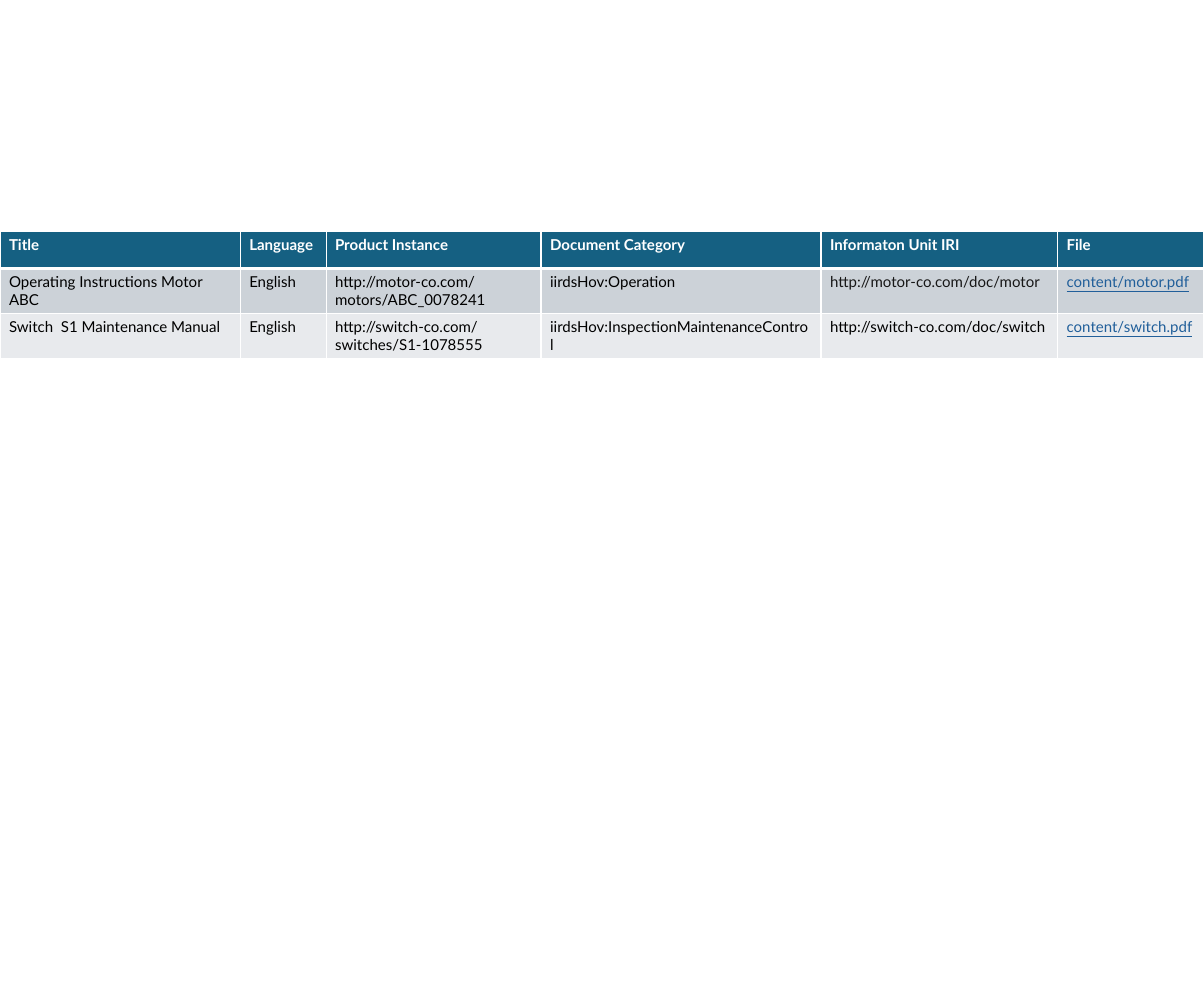
from lxml.etree import SubElement
from pptx import Presentation
from pptx.dml.color import RGBColor
from pptx.oxml.ns import qn
from pptx.util import Inches, Pt

# Content
HEADER = ("Title", "Language", "Product Instance", "Document Category",
          "Informaton Unit IRI", "File")
DOCUMENTS = [
    ("Operating Instructions Motor ABC", "English",
     "http://motor-co.com/motors/ABC_0078241", "iirdsHov:Operation",
     "http://motor-co.com/doc/motor", "content/motor.pdf"),
    ("Switch  S1 Maintenance Manual", "English",
     "http://switch-co.com/switches/S1-1078555",
     "iirdsHov:InspectionMaintenanceControl",
     "http://switch-co.com/doc/switch", "content/switch.pdf"),
]
COLUMN_WIDTHS = (2.66, 0.95, 2.38, 3.1, 2.62, 1.62)
ROW_HEIGHTS = (0.41, 0.5, 0.5)
TABLE_TOP = 2.56
IRI_COLUMN, FILE_COLUMN = 4, 5

# Colours and font
WHITE = RGBColor(0xFF, 0xFF, 0xFF)
BLACK = RGBColor(0x00, 0x00, 0x00)
CHARCOAL = RGBColor(0x17, 0x17, 0x17)
LINK_BLUE = RGBColor(0x21, 0x5F, 0x9A)
ROW_FILLS = (RGBColor(0x15, 0x60, 0x82), RGBColor(0xCC, 0xD2, 0xD8),
             RGBColor(0xE8, 0xEA, 0xED))
FONT = "Lato"


def text_color(row, column):
    if row == 0:
        return WHITE
    if column == FILE_COLUMN:
        return LINK_BLUE
    if (row, column) == (1, IRI_COLUMN):
        return CHARCOAL
    return BLACK


def add_borders(cell, row):
    """White lines, thicker between the header and the first document."""
    properties = cell._tc.get_or_add_tcPr()
    widths = {"lnL": 1, "lnR": 1, "lnT": 3 if row == 1 else 1,
              "lnB": 3 if row == 0 else 1}
    for side, width in widths.items():
        line = SubElement(properties, qn(f"a:{side}"), w=str(Pt(width)))
        fill = SubElement(line, qn("a:solidFill"))
        SubElement(fill, qn("a:srgbClr"), val=str(WHITE))


def fill_cell(cell, text, row, column):
    add_borders(cell, row)
    cell.fill.solid()
    cell.fill.fore_color.rgb = ROW_FILLS[row]
    cell.text = text
    font = cell.text_frame.paragraphs[0].font
    font.name = FONT
    font.size = Pt(12)
    font.bold = row == 0
    font.underline = row > 0 and column == FILE_COLUMN
    font.color.rgb = text_color(row, column)


def main():
    deck = Presentation()
    deck.slide_width, deck.slide_height = Inches(13.33), Inches(11.04)
    slide = deck.slides.add_slide(deck.slide_layouts[6])

    # Document table
    rows = [HEADER, *DOCUMENTS]
    documents = slide.shapes.add_table(
        len(rows), len(HEADER), Inches(0), Inches(TABLE_TOP),
        Inches(sum(COLUMN_WIDTHS)), Inches(sum(ROW_HEIGHTS))).table
    for column, width in zip(documents.columns, COLUMN_WIDTHS):
        column.width = Inches(width)
    for row, height in zip(documents.rows, ROW_HEIGHTS):
        row.height = Inches(height)
    for r, texts in enumerate(rows):
        for c, text in enumerate(texts):
            fill_cell(documents.cell(r, c), text, r, c)

    deck.save("out.pptx")


if __name__ == "__main__":
    main()
